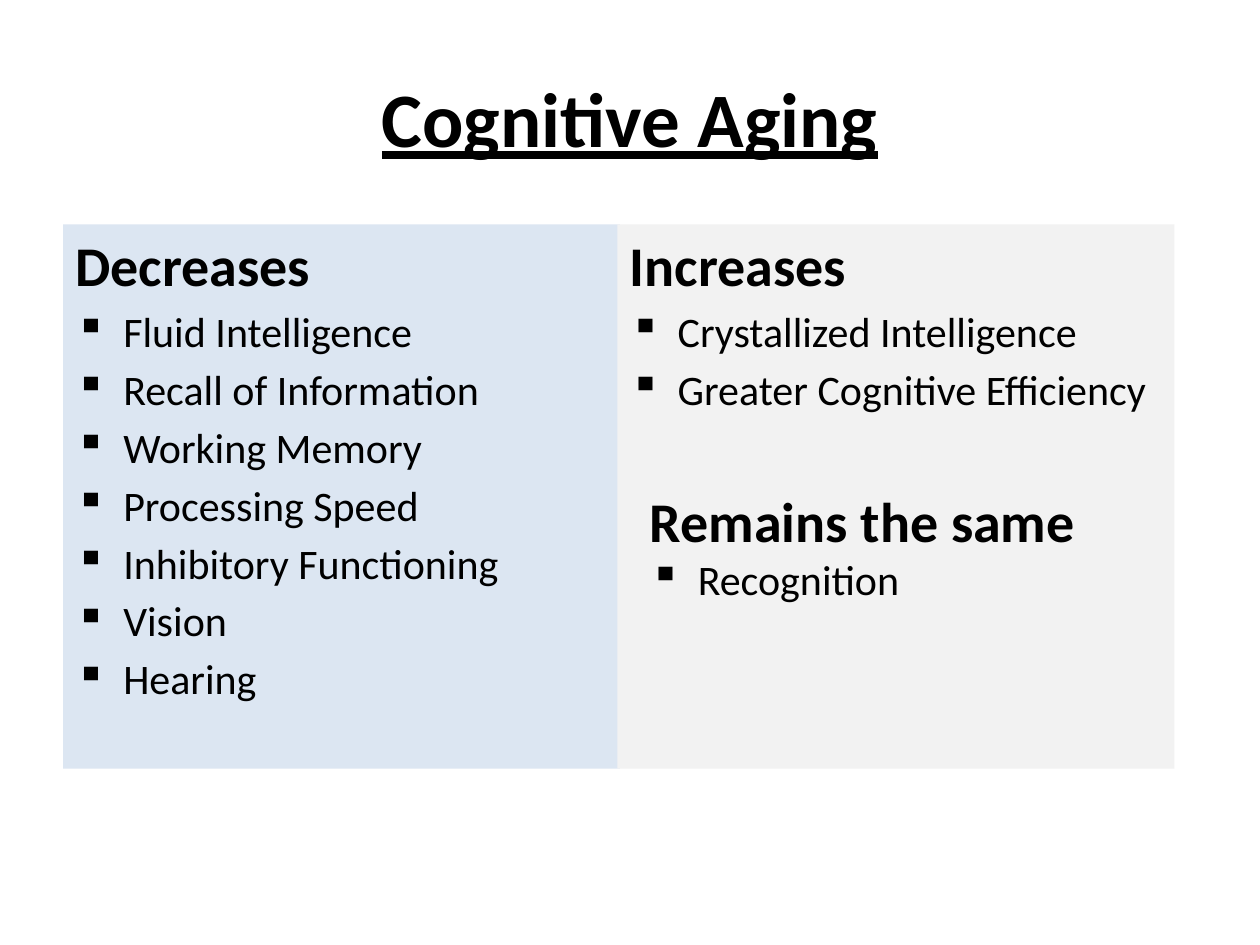
from dataclasses import dataclass

from lxml.etree import SubElement
from pptx import Presentation
from pptx.dml.color import RGBColor as RGB
from pptx.enum.shapes import MSO_SHAPE as Shape
from pptx.enum.text import MSO_ANCHOR as Anchor, PP_ALIGN as Align
from pptx.oxml.ns import qn
from pptx.util import Inches, Pt


@dataclass(frozen=True)
class Theme:
    """Hold the colours, font and type sizes of the slide."""

    font: str = "Calibri"
    ink: RGB = RGB(0x00, 0x00, 0x00)
    loss: RGB = RGB(0xDC, 0xE6, 0xF2)
    gain: RGB = RGB(0xF2, 0xF2, 0xF2)
    title: int = 44
    heading: int = 32
    item: int = 24
    gap: float = 4.3


THEME = Theme()
PANEL_TOP, PANEL_WIDTH, PANEL_HEIGHT = 1.78, 4.42, 4.32


def add_words(paragraph, words, size, bold=False, underline=None):
    """Add one styled run to a paragraph."""
    run = paragraph.add_run()
    run.text = words
    run.font.name = THEME.font
    run.font.size = Pt(size)
    run.font.bold = bold
    run.font.underline = underline
    run.font.color.rgb = THEME.ink


def add_bullet(paragraph):
    """Give a paragraph a square bullet with a hanging indent."""
    properties = paragraph._p.get_or_add_pPr()
    properties.set("marL", str(Inches(0.38)))
    properties.set("indent", str(Inches(-0.38)))
    SubElement(properties, qn("a:buChar"), char="▪")


def fill_list(frame, heading, items, gap=0):
    """Write a bold heading followed by bulleted items."""
    frame.word_wrap = True
    frame.vertical_anchor = Anchor.TOP
    first = frame.paragraphs[0]
    first.alignment = Align.LEFT
    add_words(first, heading, THEME.heading, bold=True)
    for item in items:
        entry = frame.add_paragraph()
        entry.alignment = Align.LEFT
        entry.space_before = Pt(gap)
        add_bullet(entry)
        add_words(entry, item, THEME.item)


def add_title(slide, words):
    """Add the centred, underlined title."""
    title = slide.shapes.add_textbox(Inches(0.5), Inches(0.3), Inches(9), Inches(1.25))
    frame = title.text_frame
    frame.word_wrap = True
    frame.vertical_anchor = Anchor.MIDDLE
    frame.paragraphs[0].alignment = Align.CENTER
    add_words(frame.paragraphs[0], words, THEME.title, bold=True, underline=True)


def add_panel(slide, left, colour, heading, items):
    """Add a filled panel that holds a headed list."""
    panel = slide.shapes.add_shape(
        Shape.RECTANGLE, Inches(left), Inches(PANEL_TOP), Inches(PANEL_WIDTH), Inches(PANEL_HEIGHT)
    )
    panel.shadow.inherit = False
    panel.fill.solid()
    panel.fill.fore_color.rgb = colour
    panel.line.fill.background()
    fill_list(panel.text_frame, heading, items, THEME.gap)


def add_note(slide, heading, items):
    """Add the unfilled headed list that sits on the right panel."""
    note = slide.shapes.add_textbox(Inches(5.06), Inches(3.81), Inches(4.17), Inches(1.88))
    fill_list(note.text_frame, heading, items)


def main():
    """Build the slide and save it."""
    deck = Presentation()
    deck.slide_width, deck.slide_height = Inches(10), Inches(7.5)
    slide = deck.slides.add_slide(deck.slide_layouts[6])
    decreases = [
        "Fluid Intelligence",
        "Recall of Information",
        "Working Memory",
        "Processing Speed",
        "Inhibitory Functioning",
        "Vision",
        "Hearing",
    ]
    increases = ["Crystallized Intelligence", "Greater Cognitive Efficiency"]
    add_title(slide, "Cognitive Aging")
    add_panel(slide, 0.5, THEME.loss, "Decreases", decreases)
    add_panel(slide, 4.9, THEME.gain, "Increases", increases)
    add_note(slide, "Remains the same", ["Recognition"])
    deck.save("out.pptx")


if __name__ == "__main__":
    main()
